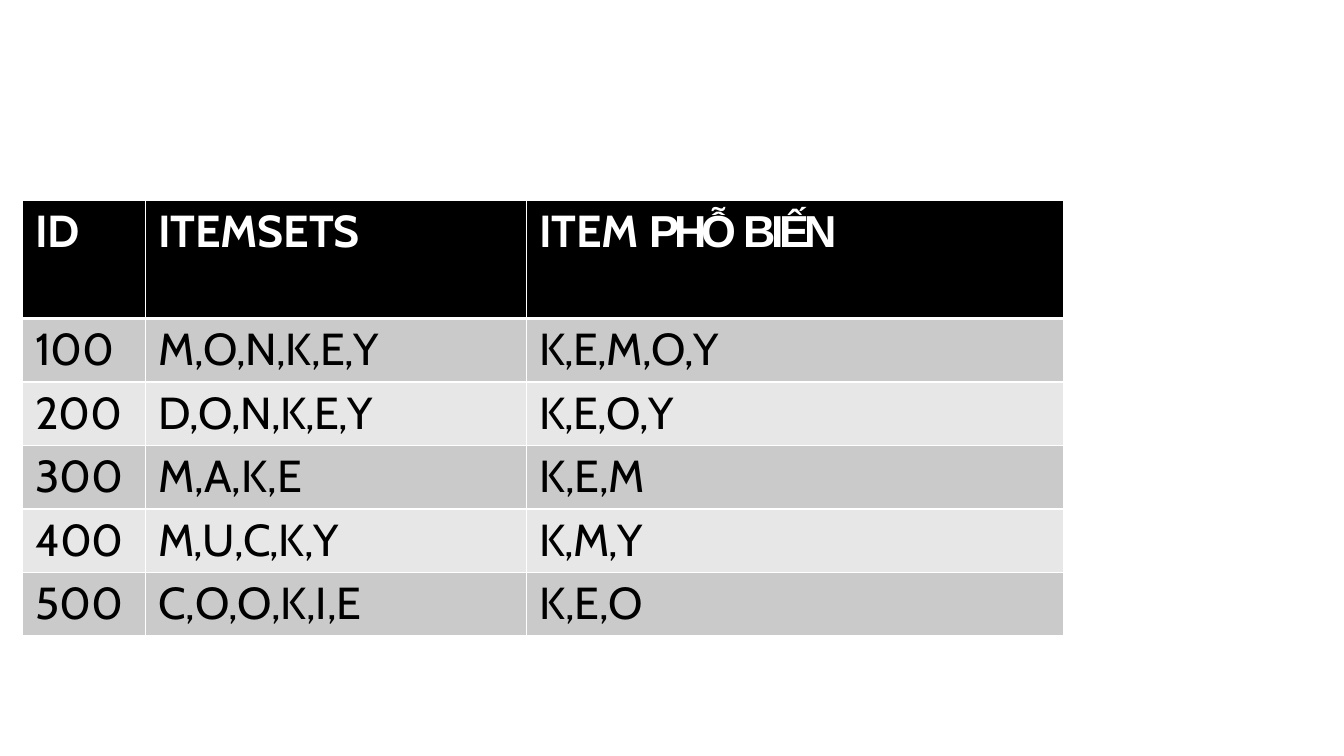
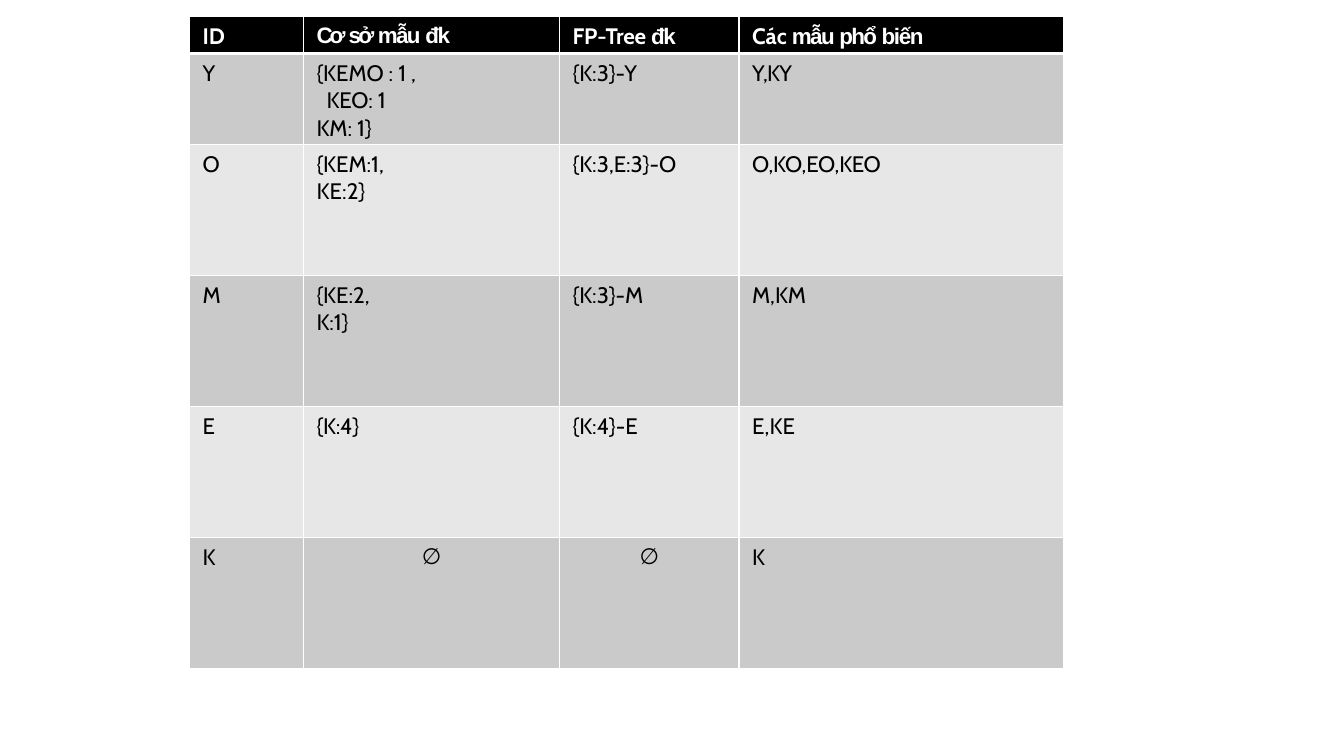
from dataclasses import dataclass
from typing import Optional

from lxml.etree import SubElement
from pptx import Presentation
from pptx.dml.color import RGBColor
from pptx.enum.text import PP_ALIGN
from pptx.oxml.ns import qn
from pptx.util import Inches, Pt


@dataclass(frozen=True)
class Theme:
    header_fill: str = "000000"
    header_text: str = "FFFFFF"
    body_fills: tuple[str, str] = ("CACACA", "E7E7E7")
    body_text: str = "000000"
    border: str = "FFFFFF"
    thin_border: float = 1
    thick_border: float = 3
    font: str = "Cabin"
    accent_font: str = "Arial"
    symbol_font: str = "DejaVu Sans"
    large: int = 32
    small: int = 16
    cell_inset: float = 0.13


THEME = Theme()


@dataclass(frozen=True)
class Span:
    text: str
    spacing: float = 0
    font: str = THEME.font


@dataclass(frozen=True)
class Line:
    spans: tuple[Span, ...]
    indent: float = 0


@dataclass(frozen=True)
class Entry:
    lines: tuple[Line, ...]
    centred: bool = False


@dataclass(frozen=True)
class TableSpec:
    left: float
    top: float
    columns: tuple[float, ...]
    row_heights: tuple[float, ...]
    size: int
    top_inset: float
    rows: tuple[tuple[Entry, ...], ...]


def entry(*spans: Span) -> Entry:
    return Entry((Line(spans),))


def plain(text: str, spacing: float = 0) -> Entry:
    return entry(Span(text, spacing))


def accent(text: str, spacing: float) -> Span:
    return Span(text, spacing, THEME.accent_font)


EMPTY_SET = Entry((Line((Span("∅", font=THEME.symbol_font),)),), centred=True)

ITEMSETS = TableSpec(
    left=0.22, top=1.99, columns=(1.22, 3.78, 5.33),
    row_heights=(1.17,) + (0.63,) * 5, size=THEME.large, top_inset=0.04,
    rows=(
        (plain("ID", -0.2), plain("ITEMSETS", -0.1),
         entry(Span("ITEM ", -0.1), accent("PHỖ ", -3.6), accent("BIẾN", -3.4))),
        (plain("100", -0.2), plain("M,O,N,K,E,Y", -0.4), plain("K,E,M,O,Y", -0.5)),
        (plain("200", -0.1), plain("D,O,N,K,E,Y", -0.5), plain("K,E,O,Y", -0.6)),
        (plain("300", -0.1), plain("M,A,K,E"), plain("K,E,M", -0.1)),
        (plain("400", -0.2), plain("M,U,C,K,Y", -0.5), plain("K,M,Y", -0.6)),
        (plain("500", -0.2), plain("C,O,O,K,I,E", -0.2), plain("K,E,O", -0.1)),
    ),
)

PATTERNS = TableSpec(
    left=1.88, top=0.16, columns=(1.13, 2.54, 1.78, 3.22),
    row_heights=(0.37, 0.9) + (1.3,) * 4, size=THEME.small, top_inset=0.07,
    rows=(
        (plain("ID"),
         entry(accent("Cơ ", -2.2), accent("sở ", -1.9),
               accent("mẫu ", -1.1), accent("đk", -0.9)),
         entry(Span("FP-Tree ", -0.1), accent("đk", -0.9)),
         entry(Span("Các "), accent("mẫu ", -1.1),
               accent("phổ ", -1.2), accent("biến", -0.9))),
        (plain("Y"),
         Entry((Line((Span("{KEMO : 1 ,"),)),
                Line((Span("KEO: ", -0.1), Span("1")), indent=0.1),
                Line((Span("KM: 1}"),)))),
         plain("{K:3}-Y"), plain("Y,KY", -0.5)),
        (plain("O"),
         Entry((Line((Span("{KEM:1,"),)), Line((Span("KE:2}", 0.1),)))),
         plain("{K:3,E:3}-O"), plain("O,KO,EO,KEO", -0.2)),
        (plain("M"),
         Entry((Line((Span("{KE:2,"),)), Line((Span("K:1}"),)))),
         plain("{K:3}-M"), plain("M,KM")),
        (plain("E"), plain("{K:4}", -0.1), plain("{K:4}-E"), plain("E,KE", 0.1)),
        (plain("K"), EMPTY_SET, EMPTY_SET, plain("K")),
    ),
)


def set_borders(cell, row: int) -> None:
    """Draw thin borders, with a thick rule between header and body."""
    thick_side = {0: "lnB", 1: "lnT"}.get(row)
    properties = cell._tc.get_or_add_tcPr()
    for side in ("lnL", "lnR", "lnT", "lnB"):
        width = THEME.thick_border if side == thick_side else THEME.thin_border
        line = SubElement(properties, qn(f"a:{side}"), w=str(Pt(width)))
        fill = SubElement(line, qn("a:solidFill"))
        SubElement(fill, qn("a:srgbClr"), val=THEME.border)


def write_entry(cell, content: Entry, size: int, color: str, bold: bool) -> None:
    frame = cell.text_frame
    for index, line in enumerate(content.lines):
        para = frame.paragraphs[0] if index == 0 else frame.add_paragraph()
        para.alignment = PP_ALIGN.CENTER if content.centred else PP_ALIGN.LEFT
        if line.indent:
            para._p.get_or_add_pPr().set("marL", str(Inches(line.indent)))
        for span in line.spans:
            run = para.add_run()
            run.text = span.text
            formats = {"name": span.font, "size": Pt(size), "bold": bold}
            for name, value in formats.items():
                setattr(run.font, name, value)
            run.font.color.rgb = RGBColor.from_string(color)
            run._r.get_or_add_rPr().set("spc", str(round(span.spacing * 100)))


def format_cell(cell, row: int, content: Entry, spec: TableSpec) -> None:
    is_header = row == 0
    inset: Optional[float] = 0 if content.centred else THEME.cell_inset
    margins = {
        "margin_left": Inches(inset),
        "margin_top": Inches(spec.top_inset),
        "margin_right": 0,
        "margin_bottom": 0,
    }
    for name, value in margins.items():
        setattr(cell, name, value)
    set_borders(cell, row)
    fill = THEME.header_fill if is_header else THEME.body_fills[(row - 1) % 2]
    cell.fill.solid()
    cell.fill.fore_color.rgb = RGBColor.from_string(fill)
    color = THEME.header_text if is_header else THEME.body_text
    write_entry(cell, content, spec.size, color, is_header)


def add_data_table(page, spec: TableSpec) -> None:
    table = page.shapes.add_table(
        len(spec.rows), len(spec.columns),
        Inches(spec.left), Inches(spec.top),
        Inches(sum(spec.columns)), Inches(sum(spec.row_heights)),
    ).table
    table.first_row = table.horz_banding = False
    for column, width in zip(table.columns, spec.columns):
        column.width = Inches(width)
    for row, height in zip(table.rows, spec.row_heights):
        row.height = Inches(height)
    for row_index, entries in enumerate(spec.rows):
        for column_index, content in enumerate(entries):
            format_cell(table.cell(row_index, column_index), row_index, content, spec)


def main() -> None:
    deck = Presentation()
    deck.slide_width, deck.slide_height = Inches(13.33), Inches(7.5)
    for spec in (ITEMSETS, PATTERNS):
        add_data_table(deck.slides.add_slide(deck.slide_layouts[6]), spec)
    deck.save("out.pptx")


if __name__ == "__main__":
    main()
